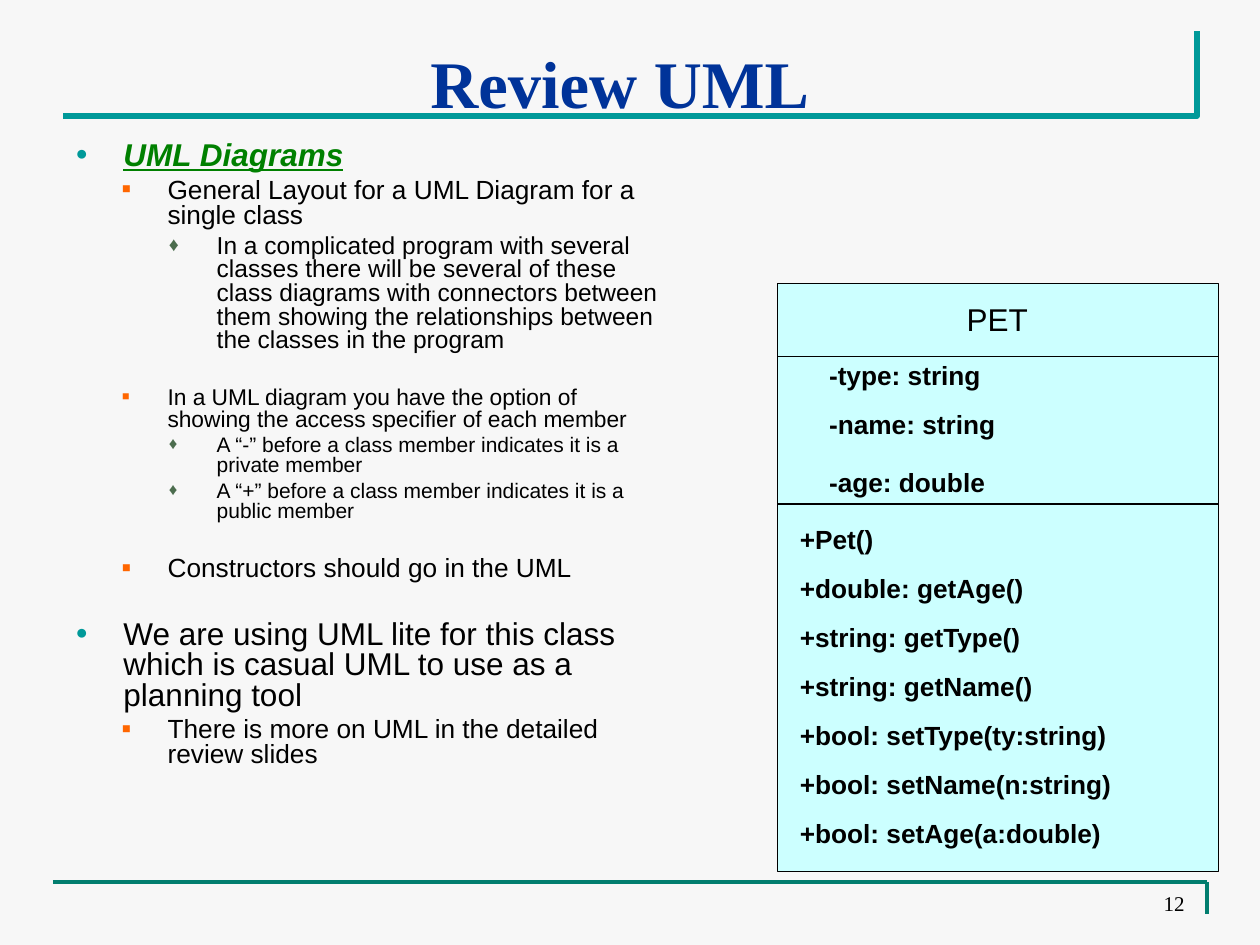
from lxml import etree
from pptx import Presentation
from pptx.dml.color import RGBColor
from pptx.enum.shapes import MSO_CONNECTOR, MSO_SHAPE
from pptx.enum.text import MSO_ANCHOR, MSO_AUTO_SIZE, PP_ALIGN
from pptx.oxml.ns import qn
from pptx.util import Inches, Pt

STRAIGHT = MSO_CONNECTOR.STRAIGHT
RECT = MSO_SHAPE.RECTANGLE
TOP, BOTTOM = MSO_ANCHOR.TOP, MSO_ANCHOR.BOTTOM
NO_FIT = MSO_AUTO_SIZE.NONE
LEFT, CENTER, RIGHT = PP_ALIGN.LEFT, PP_ALIGN.CENTER, PP_ALIGN.RIGHT

COLORS = {
    "background": "F7F7F7", "title": "003399", "heading": "008000",
    "text": "000000", "frame": "009999", "footer": "027E6F",
    "class_fill": "CCFFFF", "square": "FF6600", "diamond": "4C6D4E",
}
RGB = {name: RGBColor.from_string(value) for name, value in COLORS.items()}


def add_text(p, text, color="text", **fmt):
    r = p.add_run()
    r.text = text
    r.font.color.rgb = RGB[color]
    for name, value in {"name": "Arial", "bold": False, **fmt}.items():
        setattr(r.font, name, value)


def set_frame(sp, box, insets, anchor=TOP):
    sp.left, sp.top, sp.width, sp.height = [Inches(v) for v in box]
    tf = sp.text_frame
    side, top = [Inches(v) for v in insets]
    fmt = {"word_wrap": True, "auto_size": NO_FIT, "vertical_anchor": anchor,
           "margin_left": side, "margin_right": side,
           "margin_top": top, "margin_bottom": top}
    for name, value in fmt.items():
        setattr(tf, name, value)
    return tf


prs = Presentation()
prs.slide_width, prs.slide_height = Inches(10), Inches(7.5)
s = prs.slides.add_slide(prs.slide_layouts[1])
s.background.fill.solid()
s.background.fill.fore_color.rgb = RGB["background"]

builder = s.shapes.build_freeform(Inches(9.5), Inches(0.25))
builder.add_line_segments(
    [(Inches(9.5), Inches(0.92)), (Inches(0.5), Inches(0.92))], close=False)
corner = builder.convert_to_shape()
corner.shadow.inherit = False
corner.fill.background()
corner.line.color.rgb = RGB["frame"]
corner.line.width = Pt(3.5)

class_box = s.shapes.add_shape(
    RECT, Inches(6.17), Inches(2.25), Inches(3.5), Inches(4.67))
class_box.shadow.inherit = False
class_box.fill.solid()
class_box.fill.fore_color.rgb = RGB["class_fill"]
class_box.line.color.rgb = RGB["text"]
class_box.line.width = Pt(0.75)

rules = [
    (0.42, 7, 9.58, 7, "footer", 2.25),
    (9.58, 7, 9.58, 7.25, "footer", 2.25),
    (6.17, 2.83, 9.67, 2.83, "text", 0.75),
    (6.17, 4, 9.67, 4, "text", 0.75),
]
for x1, y1, x2, y2, color, width in rules:
    line = s.shapes.add_connector(
        STRAIGHT, Inches(x1), Inches(y1), Inches(x2), Inches(y2))
    line.line.color.rgb = RGB[color]
    line.line.width = Pt(width)
    etree.SubElement(line._element.spPr, qn("a:effectLst"))

tf = set_frame(s.shapes.title, (0.42, 0.22, 9, 0.61), (0.1, 0.11))
p = tf.paragraphs[0]
p.alignment = CENTER
add_text(p, "Review UML", "title", name="Times New Roman", size=Pt(38), bold=True)

LEVELS = [
    (0.38, 0.38, "●", "frame", 65),
    (0.73, 0.36, "■", "square", 55),
    (1.12, 0.38, "♦", "diamond", 80),
]
HEADING = {"color": "heading", "bold": True, "italic": True, "underline": True}
items = [
    (0, 18, 0, "UML Diagrams", HEADING),
    (1, 15, 3.7, "General Layout for a UML Diagram for a single class", {}),
    (2, 14, 3.5, "In a complicated program with several classes there will be "
     "several of these class diagrams with connectors between them showing the "
     "relationships between the classes in the program", {}),
    (1, 13, 19.7, "In a UML diagram you have the option of showing the access "
     "specifier of each member", {}),
    (2, 12, 3, "A “-” before a class member indicates it is a private member", {}),
    (2, 12, 3, "A “+” before a class member indicates it is a public member", {}),
    (1, 15, 20.1, "Constructors should go in the UML", {}),
    (0, 18, 22, "We are using UML lite for this class which is casual UML to use "
     "as a planning tool", {}),
    (1, 15, 3.7, "There is more on UML in the detailed review slides", {}),
]
tf = set_frame(s.placeholders[1], (0.5, 1.08, 4.83, 5.67), (0.1, 0.05))
for i, (level, size, before, text, fmt) in enumerate(items):
    p = tf.add_paragraph() if i else tf.paragraphs[0]
    p.level, p.line_spacing, p.space_before = level, 0.8, Pt(before)
    indent, hang, char, color, percent = LEVELS[level]
    pPr = p._p.get_or_add_pPr()
    pPr.set("marL", str(Inches(indent)))
    pPr.set("indent", str(-Inches(hang)))
    bullet_color = etree.SubElement(pPr, qn("a:buClr"))
    etree.SubElement(bullet_color, qn("a:srgbClr"), val=COLORS[color])
    etree.SubElement(pPr, qn("a:buSzPct"), val=str(percent * 1000))
    etree.SubElement(pPr, qn("a:buFont"), typeface="Arial")
    etree.SubElement(pPr, qn("a:buChar"), char=char)
    add_text(p, text, size=Pt(size), **fmt)

MEMBER = {"size": Pt(15), "bold": True}
attributes = [("-type: string", 0), ("-name: string", 10), ("-age: double", 15)]
methods = [
    "+Pet()", "+double: getAge()", "+string: getType()", "+string: getName()",
    "+bool: setType(ty:string)", "+bool: setName(n:string)",
    "+bool: setAge(a:double)",
]
method_lines = [(text, 10 if i else 0) for i, text in enumerate(methods)]
boxes = [
    ((7.17, 7.08, 2.33, 0.24), (0.1, 0.05), BOTTOM, RIGHT, [("12", 0)],
     {"size": Pt(12), "name": "Times New Roman"}),
    ((6.58, 2.33, 2.67, 0.4), (0.1, 0.05), TOP, CENTER, [("PET", 0)],
     {"size": Pt(18)}),
    ((6.58, 2.83, 2.67, 1.09), (0, 0.02), TOP, LEFT, attributes, MEMBER),
    ((6.25, 4.08, 3.33, 2.63), (0.1, 0.07), TOP, LEFT, method_lines, MEMBER),
]
for box, insets, anchor, align, lines, fmt in boxes:
    tf = set_frame(s.shapes.add_textbox(0, 0, 0, 0), box, insets, anchor)
    for i, (text, before) in enumerate(lines):
        p = tf.add_paragraph() if i else tf.paragraphs[0]
        p.alignment, p.space_before = align, Pt(before)
        add_text(p, text, **fmt)

prs.save("out.pptx")
